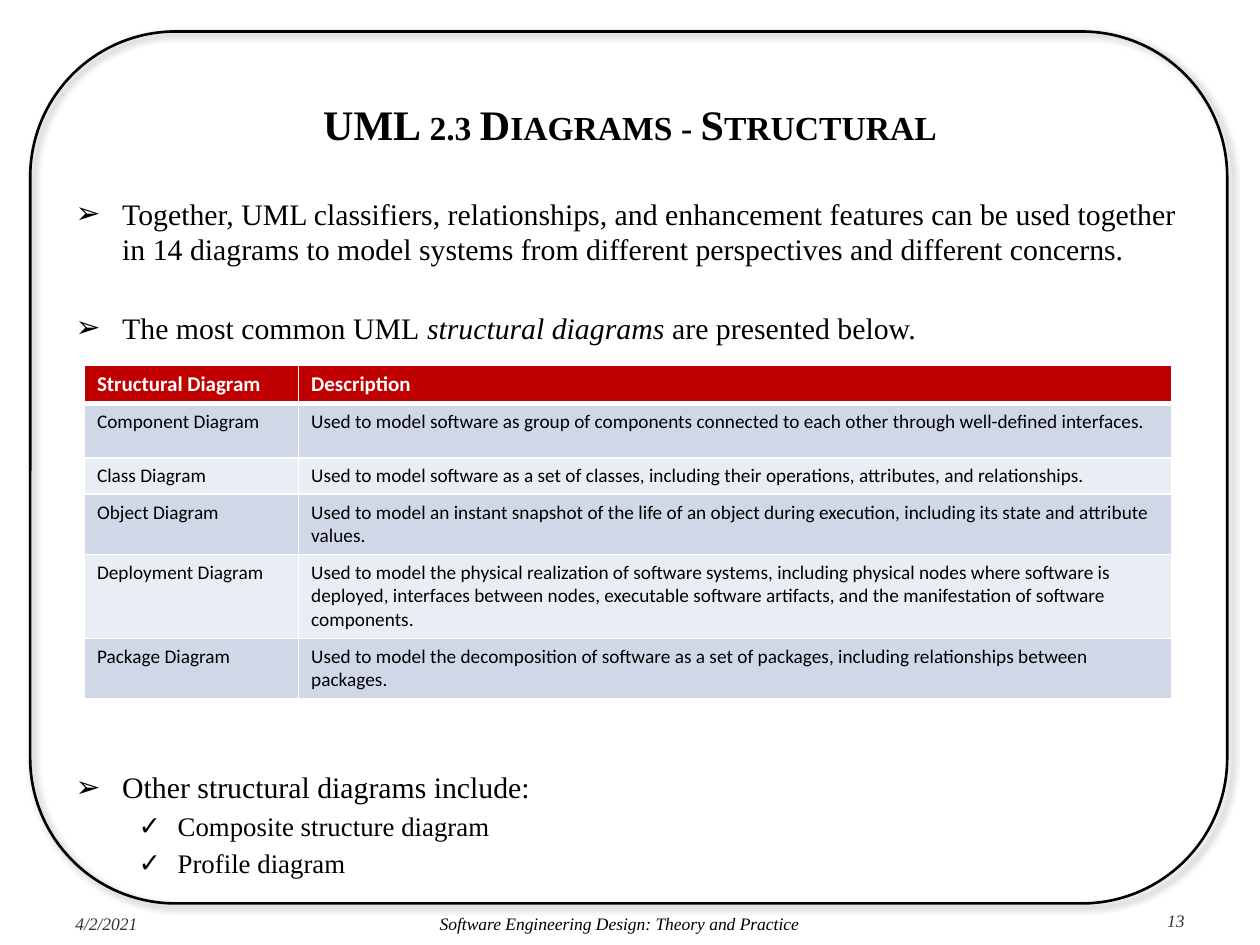
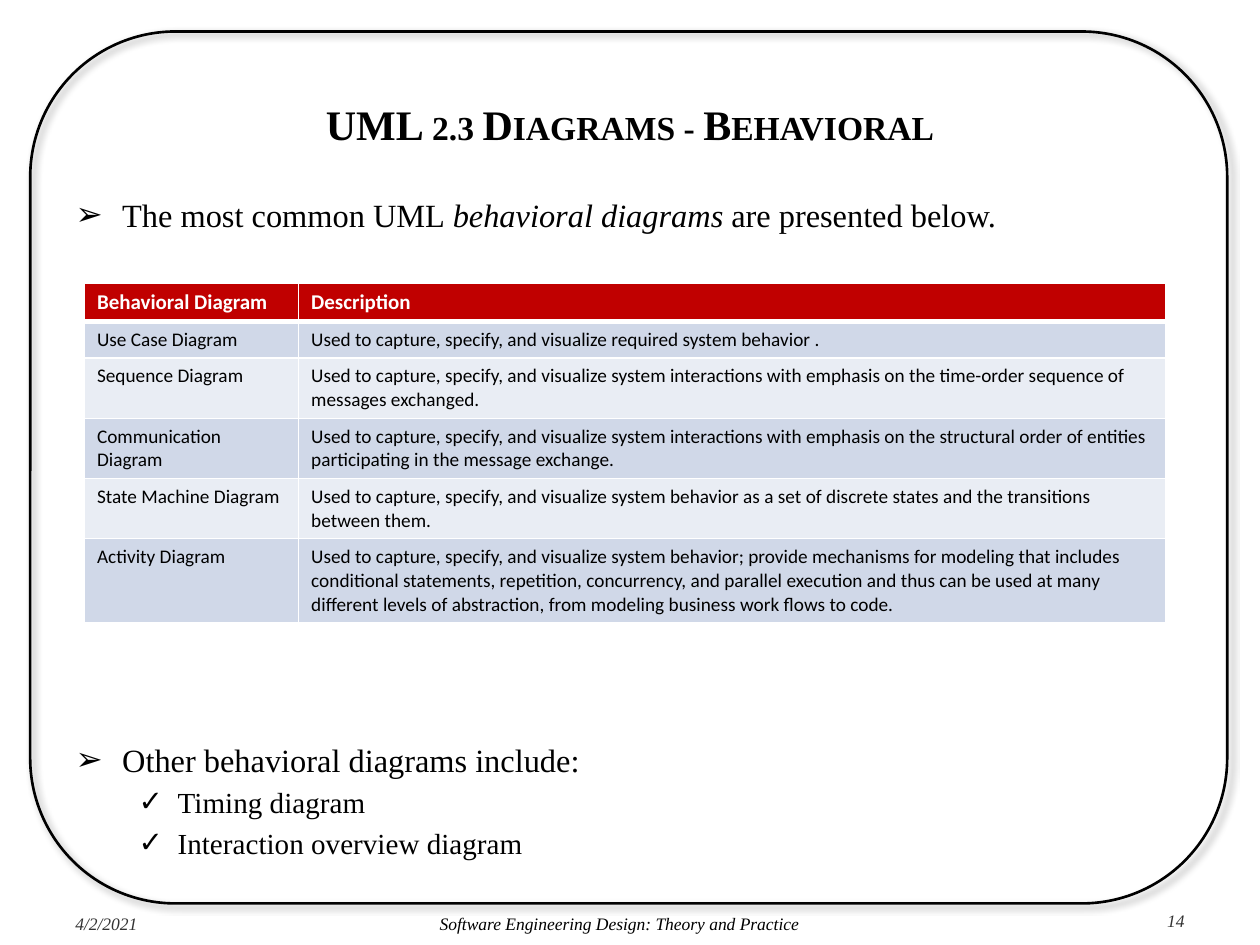
from lxml.etree import SubElement
from pptx import Presentation
from pptx.dml.color import RGBColor
from pptx.enum.shapes import MSO_SHAPE
from pptx.enum.text import MSO_ANCHOR, MSO_AUTO_SIZE, PP_ALIGN
from pptx.oxml import parse_xml
from pptx.oxml.ns import nsdecls, qn
from pptx.util import Inches, Pt

BLACK = RGBColor(0x00, 0x00, 0x00)
WHITE = RGBColor(0xFF, 0xFF, 0xFF)
GRAY = RGBColor(0x33, 0x33, 0x33)
RED = RGBColor(0xC0, 0x00, 0x00)
BAND_DARK = RGBColor(0xD0, 0xD8, 0xE8)
BAND_LIGHT = RGBColor(0xE9, 0xED, 0xF4)

SERIF = "Times New Roman"
SANS = "Calibri"

# Bullet character, left margin and hanging indent (inches) for each level
BULLETS = [("➢", 0.37, 0.37), ("✓", 0.81, 0.31)]

FRAME_BOX = (0.24, 0.25, 9.5, 6.92)
TITLE_BOX = (0.5, 0.55, 9, 0.87)
DATE_BOX = (0.5, 7.2, 1.08, 0.3)
FOOTER_BOX = (1.58, 7.2, 6.67, 0.3)
NUMBER_BOX = (8.25, 7.17, 1.25, 0.33)

SLIDES = [
    {
        "title": "UML 2.3 Diagrams - Structural",
        "number": "13",
        "body_box": (0.5, 1.5, 9, 5.25),
        "sizes": (17, 15.3),
        # Level, space before in points, runs as (text, italic)
        "items": [
            (0, 0, [("Together, UML classifiers, relationships, and enhancement features can be "
                     "used together in 14 diagrams to model systems from different perspectives "
                     "and different concerns.", False)]),
            (0, 24.4, [("The most common UML", False), (" structural diagrams ", True),
                       ("are presented below.", False)]),
            (0, 242.1, [("Other structural diagrams include:", False)]),
            (1, 2.9, [("Composite structure diagram", False)]),
            (1, 2.9, [("Profile diagram", False)]),
        ],
        "table_at": (0.67, 2.9),
        "columns": (1.7, 6.93),
        "row_heights": (0.3, 0.43, 0.28, 0.47, 0.66, 0.47),
        "rows": [
            ("Structural Diagram", "Description"),
            ("Component Diagram", "Used to model software as group of components connected to each "
             "other through well-defined interfaces."),
            ("Class Diagram", "Used to model software as a set of classes, including their "
             "operations, attributes, and relationships."),
            ("Object Diagram", "Used to model an instant snapshot of the life of an object during "
             "execution, including its state and attribute values."),
            ("Deployment Diagram", "Used to model the physical realization of software systems, "
             "including physical nodes where software is deployed, interfaces between nodes, "
             "executable software artifacts, and the manifestation of software components."),
            ("Package Diagram", "Used to model the decomposition of software as a set of packages, "
             "including relationships between packages."),
        ],
    },
    {
        "title": "UML 2.3 Diagrams - Behavioral",
        "number": "14",
        "body_box": (0.5, 1.5, 9, 5.4),
        "sizes": (18.5, 16.65),
        "items": [
            (0, 0, [("The most common UML", False), (" behavioral diagrams ", True),
                    ("are presented below.", False)]),
            (0, 288.9, [("Other behavioral diagrams include:", False)]),
            (1, 3.3, [("Timing diagram", False)]),
            (1, 3.3, [("Interaction overview diagram", False)]),
        ],
        "table_at": (0.67, 2.25),
        "columns": (1.7, 6.88),
        "row_heights": (0.3, 0.28, 0.47, 0.47, 0.47, 0.66),
        "rows": [
            ("Behavioral Diagram", "Description"),
            ("Use Case Diagram", "Used to capture, specify, and visualize required system "
             "behavior ."),
            ("Sequence Diagram", "Used to capture, specify, and visualize system interactions with "
             "emphasis on the time-order sequence of messages exchanged."),
            ("Communication Diagram", "Used to capture, specify, and visualize system interactions "
             "with emphasis on the structural order of entities participating in the message "
             "exchange."),
            ("State Machine Diagram", "Used to capture, specify, and visualize system behavior as a "
             "set of discrete states and the transitions between them."),
            ("Activity Diagram", "Used to capture, specify, and visualize system behavior; provide "
             "mechanisms for modeling that includes conditional statements, repetition, "
             "concurrency, and parallel execution and thus can be used at many different levels "
             "of abstraction, from modeling business work flows to code."),
        ],
    },
]


def inches(box):
    return [Inches(length) for length in box]


def add_run(paragraph, text, size, font=SERIF, color=BLACK, bold=False, italic=False,
            small_caps=False):
    run = paragraph.add_run()
    run.text = text
    run.font.size = Pt(size)
    run.font.name = font
    run.font.color.rgb = color
    run.font.bold = bold
    run.font.italic = italic
    if small_caps:
        run.font._element.set("cap", "small")


def place(shape, box):
    shape.left, shape.top, shape.width, shape.height = inches(box)
    shape.text_frame.word_wrap = True
    shape.text_frame.auto_size = MSO_AUTO_SIZE.NONE


def add_frame(slide, box):
    """Draw the rounded frame and move it to the layout that all slides share."""
    frame = slide.shapes.add_shape(MSO_SHAPE.ROUNDED_RECTANGLE, *inches(box))
    frame.fill.background()
    frame.line.color.rgb = BLACK
    frame.line.width = Pt(1.5)
    frame._element.spPr.append(parse_xml(
        f'<a:effectLst {nsdecls("a")}><a:outerShdw blurRad="{Pt(4)}" dist="{Pt(3)}" '
        'dir="2700000" algn="tl" rotWithShape="0"><a:srgbClr val="000000">'
        '<a:alpha val="40000"/></a:srgbClr></a:outerShdw></a:effectLst>'))
    slide.slide_layout.shapes._spTree.insert(2, frame._element)


def fill_title(shape, box, text):
    place(shape, box)
    shape.text_frame.vertical_anchor = MSO_ANCHOR.MIDDLE
    paragraph = shape.text_frame.paragraphs[0]
    paragraph.alignment = PP_ALIGN.CENTER
    add_run(paragraph, text, 24, bold=True, small_caps=True)


def set_bullet(paragraph, level):
    character, margin, hanging = BULLETS[level]
    paragraph.level = level
    properties = paragraph._p.get_or_add_pPr()
    properties.set("marL", str(Inches(margin)))
    properties.set("indent", str(-Inches(hanging)))
    SubElement(properties, qn("a:buChar")).set("char", character)


def fill_body(shape, box, items, sizes):
    place(shape, box)
    text_frame = shape.text_frame
    for index, (level, space_before, runs) in enumerate(items):
        paragraph = text_frame.add_paragraph() if index else text_frame.paragraphs[0]
        set_bullet(paragraph, level)
        paragraph.space_before = Pt(space_before)
        for text, italic in runs:
            add_run(paragraph, text, sizes[level], italic=italic)


def set_borders(cell, top_width, bottom_width):
    properties = cell._tc.get_or_add_tcPr()
    for side, width in (("L", 1), ("R", 1), ("T", top_width), ("B", bottom_width)):
        line = SubElement(properties, qn(f"a:ln{side}"), w=str(Pt(width)))
        fill = SubElement(line, qn("a:solidFill"))
        SubElement(fill, qn("a:srgbClr"), val=str(WHITE))


def add_diagram_table(slide, position, columns, row_heights, rows):
    box = (*position, sum(columns), sum(row_heights))
    table = slide.shapes.add_table(len(rows), len(columns), *inches(box)).table
    for column, width in zip(table.columns, columns):
        column.width = Inches(width)
    for row_index, (row, height, texts) in enumerate(zip(table.rows, row_heights, rows)):
        row.height = Inches(height)
        header = row_index == 0
        band = BAND_DARK if row_index % 2 else BAND_LIGHT
        for cell, text in zip(row.cells, texts):
            # A thick rule separates the header from the first row
            set_borders(cell, 3 if row_index == 1 else 1, 3 if header else 1)
            cell.fill.solid()
            cell.fill.fore_color.rgb = RED if header else band
            add_run(cell.text_frame.paragraphs[0], text, 12 if header else 11, font=SANS,
                    color=WHITE if header else BLACK, bold=header)


def add_footer(slide, number):
    for text, box, alignment, color in (
        ("4/2/2021", DATE_BOX, PP_ALIGN.LEFT, GRAY),
        ("Software Engineering Design: Theory and Practice", FOOTER_BOX, PP_ALIGN.CENTER, BLACK),
        (number, NUMBER_BOX, PP_ALIGN.RIGHT, GRAY),
    ):
        shape = slide.shapes.add_textbox(*inches(box))
        place(shape, box)
        paragraph = shape.text_frame.paragraphs[0]
        paragraph.alignment = alignment
        add_run(paragraph, text, 10, color=color, italic=True)


def add_diagram_slide(presentation, content):
    slide = presentation.slides.add_slide(presentation.slide_layouts[1])
    title, body = slide.placeholders
    fill_title(title, TITLE_BOX, content["title"])
    fill_body(body, content["body_box"], content["items"], content["sizes"])
    add_footer(slide, content["number"])
    add_diagram_table(slide, content["table_at"], content["columns"], content["row_heights"],
                      content["rows"])
    return slide


def main():
    presentation = Presentation()
    presentation.slide_width, presentation.slide_height = Inches(10), Inches(7.5)
    slides = [add_diagram_slide(presentation, content) for content in SLIDES]
    add_frame(slides[0], FRAME_BOX)
    presentation.save("out.pptx")


if __name__ == "__main__":
    main()
